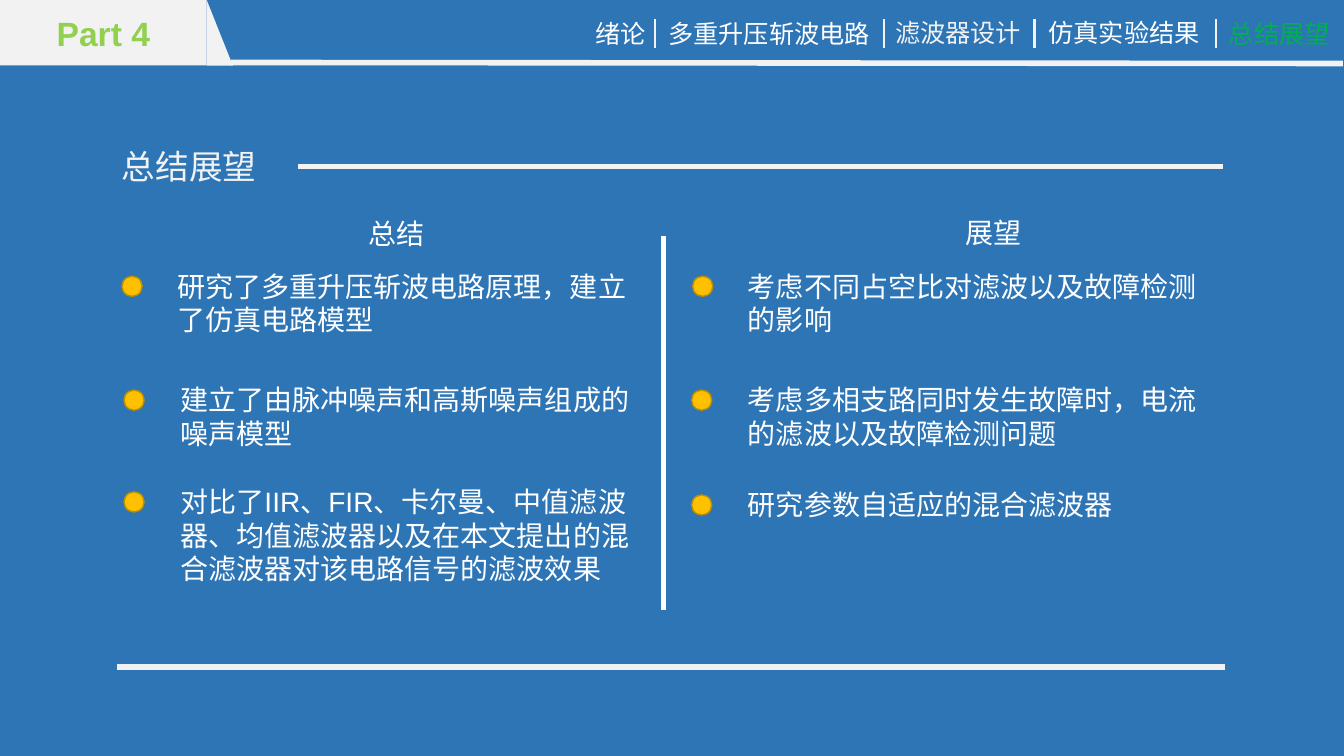
from pptx import Presentation
from pptx.dml.color import RGBColor
from pptx.enum.shapes import MSO_CONNECTOR, MSO_SHAPE
from pptx.enum.text import MSO_ANCHOR, PP_ALIGN
from pptx.oxml.ns import qn
from pptx.util import Inches, Pt
from lxml import etree

RECT, TRIANGLE, OVAL = MSO_SHAPE.RECTANGLE, MSO_SHAPE.RIGHT_TRIANGLE, MSO_SHAPE.OVAL
STRAIGHT = MSO_CONNECTOR.STRAIGHT
MIDDLE, CENTER = MSO_ANCHOR.MIDDLE, PP_ALIGN.CENTER

# Content: text, left, top, width, colour
PART = "Part 4"
NAV = [
    ("绪论", 5.81, 0.13, 0.71, "white"),
    ("多重升压斩波电路", 6.53, 0.13, 2.22, "white"),
    ("滤波器设计", 8.78, 0.12, 1.46, "pale"),
    ("仿真实验结果", 10.3, 0.12, 1.72, "white"),
    ("总结展望", 12.09, 0.13, 1.2, "green"),
]
TITLE = "总结展望"
HEADS = [("总结", 3.56, 2.1), ("展望", 9.48, 2.09)]

# Points: text, dot left, text left, top, text height
POINTS = [
    ("研究了多重升压斩波电路原理，建立了仿真电路模型", 1.21, 1.66, 2.62, 0.77),
    ("建立了由脉冲噪声和高斯噪声组成的噪声模型", 1.23, 1.69, 3.75, 0.77),
    ("对比了IIR、FIR、卡尔曼、中值滤波器、均值滤波器以及在本文提出的混合滤波器对该电路信号的滤波效果",
     1.23, 1.69, 4.76, 1.11),
    ("考虑不同占空比对滤波以及故障检测的影响", 6.87, 7.32, 2.62, 0.77),
    ("考虑多相支路同时发生故障时，电流的滤波以及故障检测问题", 6.86, 7.32, 3.75, 0.77),
    ("研究参数自适应的混合滤波器", 6.86, 7.32, 4.79, 0.44),
]

# Rules: x1, y1, x2, y2, colour, weight
RULES = [
    (2.29, 0.62, 13.32, 0.63, "pale", 4),
    (2.96, 1.65, 12.13, 1.65, "pale", 4),
    (1.16, 6.62, 12.15, 6.62, "pale", 4),
    (6.58, 2.34, 6.58, 6.05, "white", 3),
]
RULES += [(x, 0.19, x, 0.48, "pale", 1.5) for x in (6.5, 8.77, 10.26, 12.06)]

THEME = {
    "color": {"blue": "2E75B6", "white": "FFFFFF", "pale": "F2F2F2", "green": "00B050",
              "lime": "92D050", "gold": "FFC000", "edge": "BD8E00"},
    "size": {"nav": 18, "body": 20, "title": 24},
    "font": {"cjk": "Noto Sans CJK SC", "body": "Arial", "head": "Calibri"},
}
DOT, DROP, WIDE = 0.2, 0.12, 4.86


def color(name):
    return RGBColor.from_string(THEME["color"][name])


def style(frame, text, size, font, tint, bold=False):
    para = frame.paragraphs[0]
    para.text = text
    para.font.size = Pt(THEME["size"][size])
    para.font.name = THEME["font"][font]
    para.font.color.rgb = color(tint)
    para.font.bold = bold
    return para


def label(text, x, y, w, h, size, font, tint="white", wrap=False):
    box = slide.shapes.add_textbox(Inches(x), Inches(y), Inches(w), Inches(h))
    box.text_frame.word_wrap = wrap
    style(box.text_frame, text, size, font, tint)


def block(kind, x, y, w, h, fill, edge=None):
    shape = slide.shapes.add_shape(kind, Inches(x), Inches(y), Inches(w), Inches(h))
    shape.shadow.inherit = False
    shape.fill.solid()
    shape.fill.fore_color.rgb = color(fill)
    if edge:
        shape.line.color.rgb = color(edge)
        shape.line.width = Pt(1)
    else:
        shape.line.fill.background()
    return shape


def rule(x1, y1, x2, y2, tint, weight):
    line = slide.shapes.add_connector(STRAIGHT, Inches(x1), Inches(y1), Inches(x2), Inches(y2))
    line.line.color.rgb = color(tint)
    line.line.width = Pt(weight)
    etree.SubElement(line._element.spPr, qn("a:effectLst"))


deck = Presentation()
deck.slide_width, deck.slide_height = Inches(13.33), Inches(7.5)
slide = deck.slides.add_slide(deck.slide_layouts[6])
slide.background.fill.solid()
slide.background.fill.fore_color.rgb = color("blue")

# Top bar
for text, x, y, w, tint in NAV:
    label(text, x, y, w, 0.4, "nav", "cjk", tint)
tab = block(RECT, 0, 0, 2.05, 0.65, "pale")
tab.text_frame.vertical_anchor = MIDDLE
style(tab.text_frame, PART, "title", "body", "lime", True).alignment = CENTER
block(TRIANGLE, 2.05, 0, 0.26, 0.65, "pale")

# Rules and separators
for item in RULES:
    rule(*item)

# Title and column heads
label(TITLE, 1.11, 1.4, 1.55, 0.5, "title", "cjk", "pale")
for text, x, y in HEADS:
    label(text, x, y, 0.76, 0.44, "body", "head")

# Points with dots
for text, dot, x, y, h in POINTS:
    block(OVAL, dot, y + DROP, DOT, DOT, "gold", "edge")
    label(text, x, y, WIDE, h, "body", "body", wrap=True)

deck.save("out.pptx")
